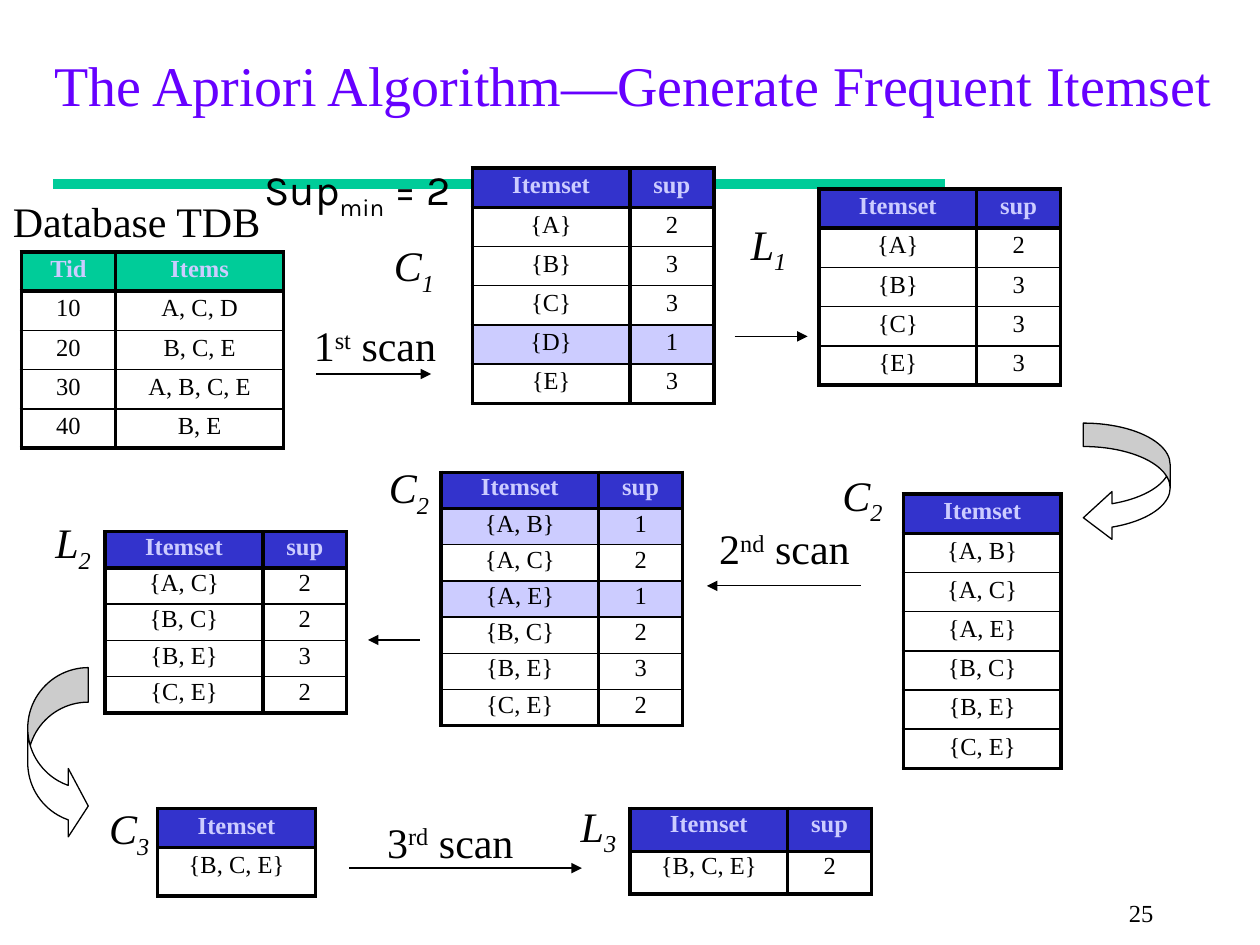
"""Build the Apriori frequent-itemset slide."""
from dataclasses import dataclass

from pptx import Presentation
from pptx.dml.color import RGBColor
from pptx.enum.shapes import MSO_CONNECTOR as Connector, MSO_SHAPE as Shape
from pptx.enum.text import MSO_ANCHOR as Anchor, PP_ALIGN as Align
from pptx.oxml.xmlchemy import OxmlElement
from pptx.util import Cm, Pt

BLACK = RGBColor(0x00, 0x00, 0x00)
WHITE = RGBColor(0xFF, 0xFF, 0xFF)
PURPLE = RGBColor(0x66, 0x00, 0xFF)
GREEN = RGBColor(0x00, 0xCC, 0x99)
BLUE = RGBColor(0x33, 0x33, 0xCC)
LAVENDER = RGBColor(0xCC, 0xCC, 0xFF)
SERIF = "Times New Roman"
THICK, THIN = 2.25, 1
ITEMSET_WIDTH, SUP_WIDTH = 3.18, 1.69
LABEL_HEIGHT = 1.27


@dataclass
class Box:
    """A rectangle in centimetres."""
    left: float
    top: float
    width: float = 0
    height: float = 0

    def lengths(self):
        """Return the four sides as slide lengths."""
        return [Cm(side) for side in (self.left, self.top, self.width, self.height)]


def write(para, text, size=24, font=SERIF, colour=BLACK, bold=False, italic=False, baseline=0):
    """Add one formatted span to a paragraph."""
    span = para.add_run()
    span.text = text
    span.font.size = Pt(size)
    span.font.name = font
    span.font.bold = bold
    span.font.italic = italic
    span.font.color.rgb = colour
    if baseline:
        span.font._element.set("baseline", str(baseline * 1000))


def add_label(page, box, *parts, align=Align.CENTER, anchor=Anchor.MIDDLE, wrap=False, **style):
    """Add a text box from (text, baseline) parts."""
    frame = page.shapes.add_textbox(*box.lengths()).text_frame
    frame.word_wrap = wrap
    frame.vertical_anchor = anchor
    para = frame.paragraphs[0]
    para.alignment = align
    for text, baseline in parts:
        write(para, text, baseline=baseline, **style)


def add_arrow(page, start, end, top):
    """Draw a horizontal arrow."""
    arrow = page.shapes.add_connector(Connector.STRAIGHT, Cm(start), Cm(top), Cm(end), Cm(top))
    arrow.line.color.rgb = BLACK
    arrow.line.width = Pt(0.75)
    tail = OxmlElement("a:tailEnd")
    tail.set("type", "triangle")
    arrow.line._get_or_add_ln().append(tail)
    arrow._element.spPr.append(OxmlElement("a:effectLst"))


def add_solid(page, kind, box, fill, outline=None, adjustments=()):
    """Add a filled preset shape."""
    shape = page.shapes.add_shape(kind, *box.lengths())
    shape.shadow.inherit = False
    shape.fill.solid()
    shape.fill.fore_color.rgb = fill
    if outline is None:
        shape.line.fill.background()
    else:
        shape.line.color.rgb = outline
        shape.line.width = Pt(0.75)
    for index, value in enumerate(adjustments):
        shape.adjustments[index] = value


def set_borders(cell, top, bottom):
    """Give a cell thick sides and the stated top and bottom lines."""
    properties = cell._tc.get_or_add_tcPr()
    for side, width in (("L", THICK), ("R", THICK), ("T", top), ("B", bottom)):
        line = OxmlElement(f"a:ln{side}")
        line.set("w", str(Pt(width)))
        fill = OxmlElement("a:solidFill")
        colour = OxmlElement("a:srgbClr")
        colour.set("val", str(BLACK))
        fill.append(colour)
        line.append(fill)
        properties.append(line)


def fill_cell(cell, text, fill, spacing, **style):
    """Write centred text in a cell and set its fill."""
    if fill is None:
        cell.fill.background()
    else:
        cell.fill.solid()
        cell.fill.fore_color.rgb = fill
    para = cell.text_frame.paragraphs[0]
    para.alignment = Align.CENTER
    para.line_spacing = spacing
    para.space_before = Pt(0.6)
    write(para, text, size=14, **style)


def draw_table(page, box, rows, widths, heights, header_fill=BLUE, pruned=(), spacing=0.9):
    """Draw a ruled table whose first row is the header."""
    box = Box(box.left, box.top, sum(widths), sum(heights))
    table = page.shapes.add_table(len(rows), len(widths), *box.lengths()).table
    for column, width in zip(table.columns, widths):
        column.width = Cm(width)
    last = len(rows) - 1
    for index, values in enumerate(rows):
        table.rows[index].height = Cm(heights[index])
        header = index == 0
        fill = header_fill if header else LAVENDER if values[0] in pruned else None
        for column, text in enumerate(values):
            cell = table.cell(index, column)
            set_borders(cell, THICK if index < 2 else THIN, THICK if index in (0, last) else THIN)
            fill_cell(cell, text, fill, spacing, bold=header, colour=LAVENDER if header else BLACK)


def draw_database(page, box):
    """Draw the transaction database with its caption."""
    add_label(page, Box(box.left - 0.43, box.top - 1.27, 5.51, LABEL_HEIGHT), ("Database TDB", 0))
    rows = [("Tid", "Items"), ("10", "A, C, D"), ("20", "B, C, E"), ("30", "A, B, C, E"), ("40", "B, E")]
    draw_table(page, box, rows, (1.9, 3.39), [0.79] * len(rows), header_fill=GREEN)


def draw_itemsets(page, box, name, offset, itemsets, supports=None, heights=None, spacing=0.9, pruned=()):
    """Draw a candidate or frequent itemset table with its lettered label."""
    letter, number = name
    add_label(page, Box(box.left + offset[0], box.top + offset[1], 1.35 if letter == "C" else 1.27, LABEL_HEIGHT),
              (letter, 0), (number, -25), italic=True)
    names = [f"{{{', '.join(itemset)}}}" for itemset in itemsets]
    columns = [["Itemset", *names]]
    if supports:
        columns.append(["sup", *supports])
    widths = (ITEMSET_WIDTH, SUP_WIDTH)[:len(columns)]
    heights = heights or [0.79 if spacing == 0.9 else 0.73] * len(columns[0])
    pruned = [f"{{{', '.join(itemset)}}}" for itemset in pruned]
    draw_table(page, box, list(zip(*columns)), widths, heights, pruned=pruned, spacing=spacing)


def draw_scan(page, box, number, suffix, start, end, drop):
    """Draw a scan caption and the arrow below it."""
    add_label(page, box, (number, 0), (suffix, 30), (" scan", 0))
    add_arrow(page, box.left + start, box.left + end, box.top + drop)


def draw_heading(page, box):
    """Place the title and the rule below it."""
    add_solid(page, Shape.RECTANGLE, Box(box.left + 0.23, box.top + 2.77, 17.98, 0.2), GREEN)
    title = page.shapes.title
    title.left, title.top, title.width, title.height = box.lengths()
    title.text_frame.vertical_anchor = Anchor.MIDDLE
    para = title.text_frame.paragraphs[0]
    para.alignment = Align.LEFT
    write(para, "The Apriori Algorithm—Generate Frequent Itemset", size=32, colour=PURPLE)


def main():
    """Build and save the deck."""
    deck = Presentation()
    deck.slide_width, deck.slide_height = Cm(25.4), Cm(19.05)
    page = deck.slides.add_slide(deck.slide_layouts[5])

    draw_heading(page, Box(0.84, 0.84, 24.56, 1.7))
    add_label(page, Box(18.42, 17.98, 5.08, 0.64), ("25", 0),
              size=14, align=Align.RIGHT, anchor=Anchor.TOP, wrap=True)

    draw_database(page, Box(0.43, 5.08))
    draw_scan(page, Box(6.05, 6.32, 3.02, LABEL_HEIGHT), "1", "st", 0.33, 2.64, 1.22)
    draw_itemsets(page, Box(9.52, 3.39), "C1", (-1.85, 1.39), "ABCDE", "23313", pruned="D")
    add_arrow(page, 14.81, 16.28, 6.78)
    draw_itemsets(page, Box(16.51, 3.81), "L1", (-1.65, 0.53), "ABCE", "2333")
    add_solid(page, Shape.CURVED_LEFT_ARROW, Box(21.84, 8.53, 1.75, 2.39), WHITE, BLACK, (0.27, 0.55, 0.33))

    pairs = ["AB", "AC", "AE", "BC", "BE", "CE"]
    draw_itemsets(page, Box(18.21, 9.96), "C2", (-1.5, -0.56), pairs)
    draw_scan(page, Box(14.2, 10.41, 3.23, LABEL_HEIGHT), "2", "nd", 3.15, 0.05, 1.4)
    draw_itemsets(page, Box(8.89, 9.52), "C2", (-1.32, -0.27), pairs, "121232",
                  spacing=0.8, pruned=("AB", "AE"))
    add_arrow(page, 8.46, 7.42, 12.9)
    draw_itemsets(page, Box(2.12, 10.72), "L2", (-1.28, -0.36), ["AC", "BC", "BE", "CE"], "2232", spacing=0.8)
    add_solid(page, Shape.CURVED_RIGHT_ARROW, Box(0.56, 13.46, 1.22, 3.48), WHITE, BLACK, (0.57, 1.13, 0.33))

    draw_itemsets(page, Box(3.18, 16.3), "C3", (-1.25, -0.17), ["BCE"], heights=(0.79, 0.97))
    draw_scan(page, Box(7.52, 16.33, 3.12, LABEL_HEIGHT), "3", "rd", -0.48, 4.21, 1.17)
    draw_itemsets(page, Box(12.7, 16.3), "L3", (-1.27, -0.22), ["BCE"], "2", heights=(0.86, 0.86), spacing=0.8)

    add_label(page, Box(5.08, 3.18, 4.88, LABEL_HEIGHT), ("Sup", 0), ("min", -25), (" = 2", 0),
              font="Karla", align=Align.LEFT, anchor=Anchor.TOP, wrap=True)
    deck.save("out.pptx")


if __name__ == "__main__":
    main()
